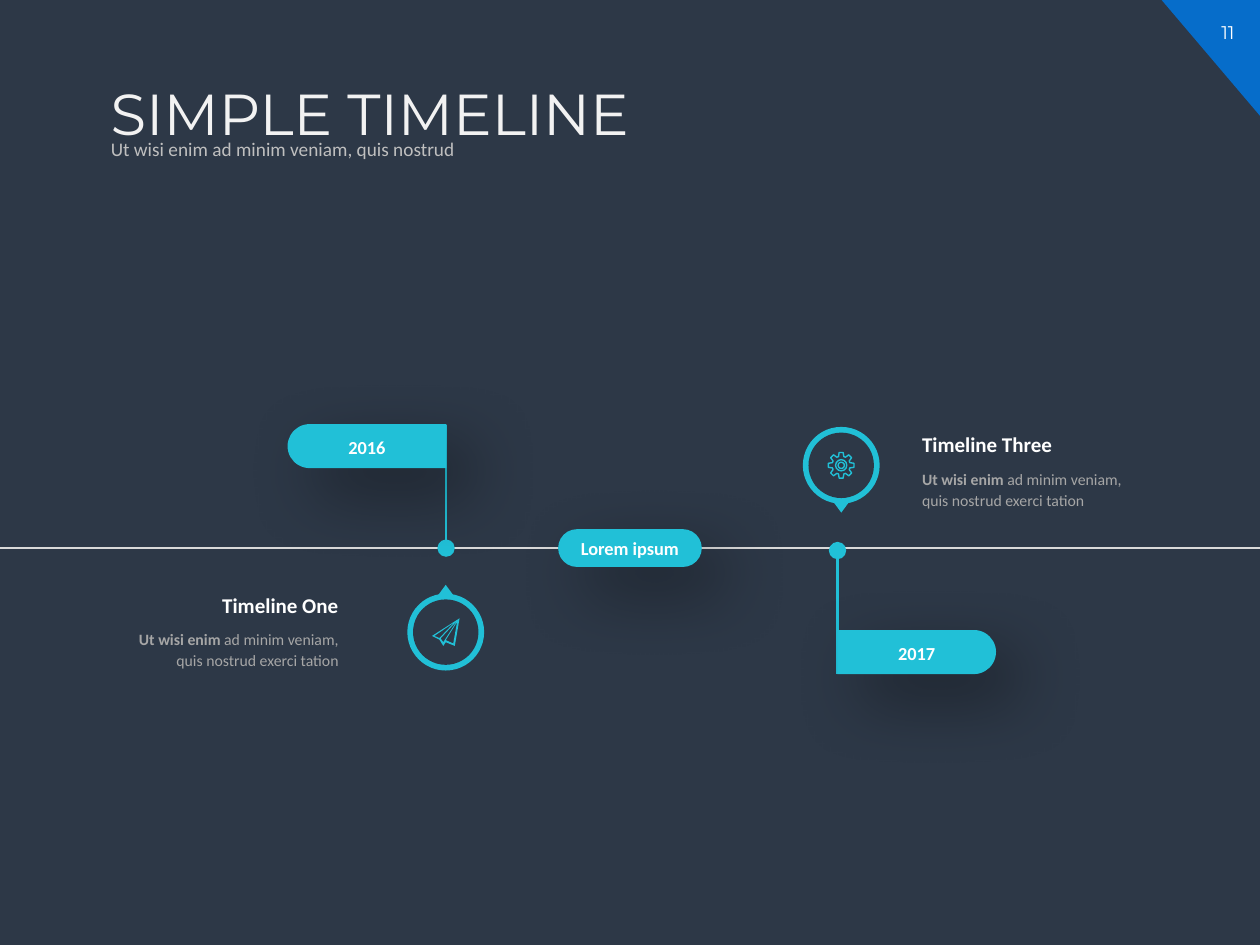
from dataclasses import dataclass
from math import cos, radians, sin
from typing import Callable

from lxml import etree
from pptx import Presentation
from pptx.dml.color import RGBColor
from pptx.enum.shapes import MSO_CONNECTOR, MSO_SHAPE
from pptx.enum.text import MSO_ANCHOR, MSO_AUTO_SIZE, PP_ALIGN
from pptx.oxml.ns import qn
from pptx.util import Pt

LEFT, CENTER, RIGHT = PP_ALIGN.LEFT, PP_ALIGN.CENTER, PP_ALIGN.RIGHT
TOP, MIDDLE = MSO_ANCHOR.TOP, MSO_ANCHOR.MIDDLE
OVAL, TRIANGLE, CORNER = MSO_SHAPE.OVAL, MSO_SHAPE.ISOSCELES_TRIANGLE, MSO_SHAPE.RIGHT_TRIANGLE
FLAG, PILL = MSO_SHAPE.ROUND_2_SAME_RECTANGLE, MSO_SHAPE.ROUNDED_RECTANGLE
STRAIGHT, FIT_SHAPE = MSO_CONNECTOR.STRAIGHT, MSO_AUTO_SIZE.SHAPE_TO_FIT_TEXT


@dataclass(frozen=True)
class Theme:
    background: str = "2D3847"
    accent: str = "21C0D7"
    corner: str = "066DCA"
    axis: str = "D9D9D9"
    white: str = "FFFFFF"
    title: str = "F2F2F2"
    subtitle: str = "BFBFBF"
    body: str = "A6A6A6"
    display_font: str = "Montserrat"
    text_font: str = "Calibri"
    title_size: float = 33
    heading_size: float = 12
    subtitle_size: float = 11
    label_size: float = 10.5
    body_size: float = 9


THEME = Theme()


@dataclass(frozen=True)
class Run:
    text: str
    size: float
    color: str
    bold: bool = False
    font: str = THEME.text_font


@dataclass(frozen=True)
class Milestone:
    """One date; side is -1 when flag and text lie left of the pole, else 1."""
    year: str
    heading: str
    side: int
    pole_x: float
    pole_start: float
    pole_end: float
    flag_y: float
    badge_x: float
    badge_y: float
    text_edge: float
    text_top: float
    heading_width: float
    icon: Callable


def rgb(value):
    return RGBColor.from_string(value)


def write(shape, runs: list[Run], align=LEFT, anchor=TOP, spacing=None, before=None):
    tf = shape.text_frame
    tf.vertical_anchor = anchor
    p = tf.paragraphs[0]
    p.alignment = align
    if spacing:
        p.line_spacing = spacing
    if before:
        p.space_before = Pt(before)
    for run in runs:
        r = p.add_run()
        r.text = run.text
        r.font.name = run.font
        r.font.size = Pt(run.size)
        r.font.bold = run.bold
        r.font.color.rgb = rgb(run.color)


def add_text(slide, x: float, y: float, w: float, h: float, runs: list[Run],
             wrap=True, grow=False, **layout):
    box = slide.shapes.add_textbox(Pt(x), Pt(y), Pt(w), Pt(h))
    box.text_frame.word_wrap = wrap
    if grow:
        box.text_frame.auto_size = FIT_SHAPE
    write(box, runs, **layout)


def paint(sp, color: str):
    sp.shadow.inherit = False
    sp.fill.solid()
    sp.fill.fore_color.rgb = rgb(color)
    sp.line.fill.background()


def add_shape(slide, kind, x: float, y: float, w: float, h: float, color: str, rotation=0):
    sp = slide.shapes.add_shape(kind, Pt(x), Pt(y), Pt(w), Pt(h))
    sp.rotation = rotation
    paint(sp, color)
    return sp


def add_centered(slide, kind, cx: float, cy: float, w: float, h: float, color: str, rotation=0):
    return add_shape(slide, kind, cx - w / 2, cy - h / 2, w, h, color, rotation)


def add_soft_shadow(sp):
    effects = sp._element.spPr.find(qn("a:effectLst"))
    shadow = etree.SubElement(effects, qn("a:outerShdw"), blurRad=str(Pt(40)), dist=str(Pt(20)),
                              dir=str(45 * 60000), algn="tl", rotWithShape="0")
    color = etree.SubElement(shadow, qn("a:srgbClr"), val="000000")
    etree.SubElement(color, qn("a:alpha"), val="40000")


def add_line(slide, x1: float, y1: float, x2: float, y2: float, color: str, width: float, dot=False):
    """Draw a straight line, with a large dot at its end if asked."""
    line = slide.shapes.add_connector(STRAIGHT, Pt(x1), Pt(y1), Pt(x2), Pt(y2))
    line.line.color.rgb = rgb(color)
    line.line.width = Pt(width)
    if dot:
        etree.SubElement(line.line._get_or_add_ln(), qn("a:tailEnd"), type="oval", w="lg", len="lg")
    etree.SubElement(line._element.spPr, qn("a:effectLst"))


def add_outline(slide, cx: float, cy: float, contours):
    """Build closed contours, given around a centre, as one freeform."""
    placed = [[(Pt(cx + x), Pt(cy + y)) for x, y in contour] for contour in contours]
    builder = slide.shapes.build_freeform(*placed[0][0])
    for i, contour in enumerate(placed):
        if i:
            builder.move_to(*contour[0])
        builder.add_line_segments(contour[1:], close=True)
    sp = builder.convert_to_shape()
    paint(sp, THEME.accent)
    return sp


def add_paper_plane(slide, cx: float, cy: float):
    body = [(7.9, -7.9), (-7.9, 2.2), (-3.6, 4.3), (-1.4, 7.9), (0, 5.8), (5.2, 7.9)]
    folds = [[(4.3, 6.5), (0, 4.6), (6.5, -5.8)],
             [(-2.9, 3.6), (6.5, -6.5), (-1.4, 5.8)],
             [(-6.5, 2.2), (5, -5.6), (-3.6, 3.4)]]
    add_outline(slide, cx, cy, [body, *folds])


def add_gear(slide, cx: float, cy: float):
    tooth = [(5.2, -17), (7.4, -9), (7.4, 9), (5.2, 17)]
    rim = [(radius * cos(radians(45 * k + angle)), radius * sin(radians(45 * k + angle)))
           for k in range(8) for radius, angle in tooth]
    hollow = [add_outline(slide, cx, cy, [rim])]
    hollow += [add_centered(slide, OVAL, cx, cy, d, d, THEME.accent) for d in (6.4, 3.6)]
    for sp in hollow:
        sp.fill.background()
        sp.line.color.rgb = rgb(THEME.accent)
        sp.line.width = Pt(0.8)


def add_badge(slide, m: Milestone):
    add_centered(slide, OVAL, m.badge_x, m.badge_y, 43.9, 43.9, THEME.accent)
    add_centered(slide, TRIANGLE, m.badge_x, m.badge_y + m.side * 24.1, 8.6, 5.8,
                 THEME.accent, 180 if m.side > 0 else 0)
    add_centered(slide, OVAL, m.badge_x, m.badge_y, 37.4, 37.4, THEME.background)
    m.icon(slide, m.badge_x, m.badge_y)


def add_milestone(slide, m: Milestone):
    add_line(slide, m.pole_x, m.pole_start, m.pole_x, m.pole_end, THEME.accent, 1.5, dot=True)
    flag_x = m.pole_x + m.side * 45.2
    flag = add_centered(slide, FLAG, flag_x, m.flag_y, 25.2, 90.7, THEME.accent, m.side * 90 % 360)
    flag.adjustments[0], flag.adjustments[1] = 0.5, 0
    add_soft_shadow(flag)
    add_text(slide, flag_x - 33.1, m.flag_y - 9.2, 66.2, 20.2,
             [Run(m.year, THEME.label_size, THEME.white, True)], grow=True, align=CENTER)

    align = RIGHT if m.side < 0 else LEFT
    body_width = 143.3
    heading_x, body_x = (m.text_edge - (w if m.side < 0 else 0) for w in (m.heading_width, body_width))
    add_text(slide, heading_x, m.text_top, m.heading_width, 21.6,
             [Run(m.heading, THEME.heading_size, THEME.white, True)],
             wrap=False, grow=True, align=align)
    add_text(slide, body_x, m.text_top + 19.9, body_width, 33.8,
             [Run("Ut wisi enim ", THEME.body_size, THEME.body, True),
              Run("ad minim veniam, quis nostrud exerci tation", THEME.body_size, THEME.body)],
             align=align, spacing=1.14, before=10)
    add_badge(slide, m)


MILESTONES = [
    Milestone("2016", "Timeline One", -1, 254.9, 242.6, 313.2, 254.9,
              254.7, 361.2, 200.5, 334.8, 82.1, add_paper_plane),
    Milestone("2017", "Timeline Three", 1, 478.6, 385.2, 314.6, 372.6,
              480.7, 265.9, 519.8, 243.2, 90, add_gear),
]


def main():
    prs = Presentation()
    prs.slide_width, prs.slide_height = Pt(720), Pt(540)
    s = prs.slides.add_slide(prs.slide_layouts[6])
    s.background.fill.solid()
    s.background.fill.fore_color.rgb = rgb(THEME.background)

    add_shape(s, CORNER, 663.8, 0, 56.2, 66.2, THEME.corner, 180)
    add_text(s, 683.3, 8.6, 36.7, 20.2,
             [Run("11", THEME.label_size, THEME.white, font=THEME.display_font)],
             grow=True, align=CENTER)
    add_text(s, 56.2, 45.4, 637.9, 52.6,
             [Run("SIMPLE TIMELINE", THEME.title_size, THEME.title, font=THEME.display_font)],
             spacing=0.9)
    add_text(s, 56.2, 76.3, 519.1, 18.7,
             [Run("Ut wisi enim ad minim veniam, quis nostrud", THEME.subtitle_size, THEME.subtitle)],
             anchor=MIDDLE, spacing=0.9, before=9)

    add_line(s, 0, 313.2, 720, 313.2, THEME.axis, 1)
    for milestone in MILESTONES:
        add_milestone(s, milestone)
    pill = add_centered(s, PILL, 360, 313.2, 82.1, 21.6, THEME.accent)
    pill.adjustments[0] = 0.5
    add_soft_shadow(pill)
    write(pill, [Run("Lorem ipsum", THEME.label_size, THEME.white, True)], CENTER, MIDDLE)
    prs.save("out.pptx")


if __name__ == "__main__":
    main()
